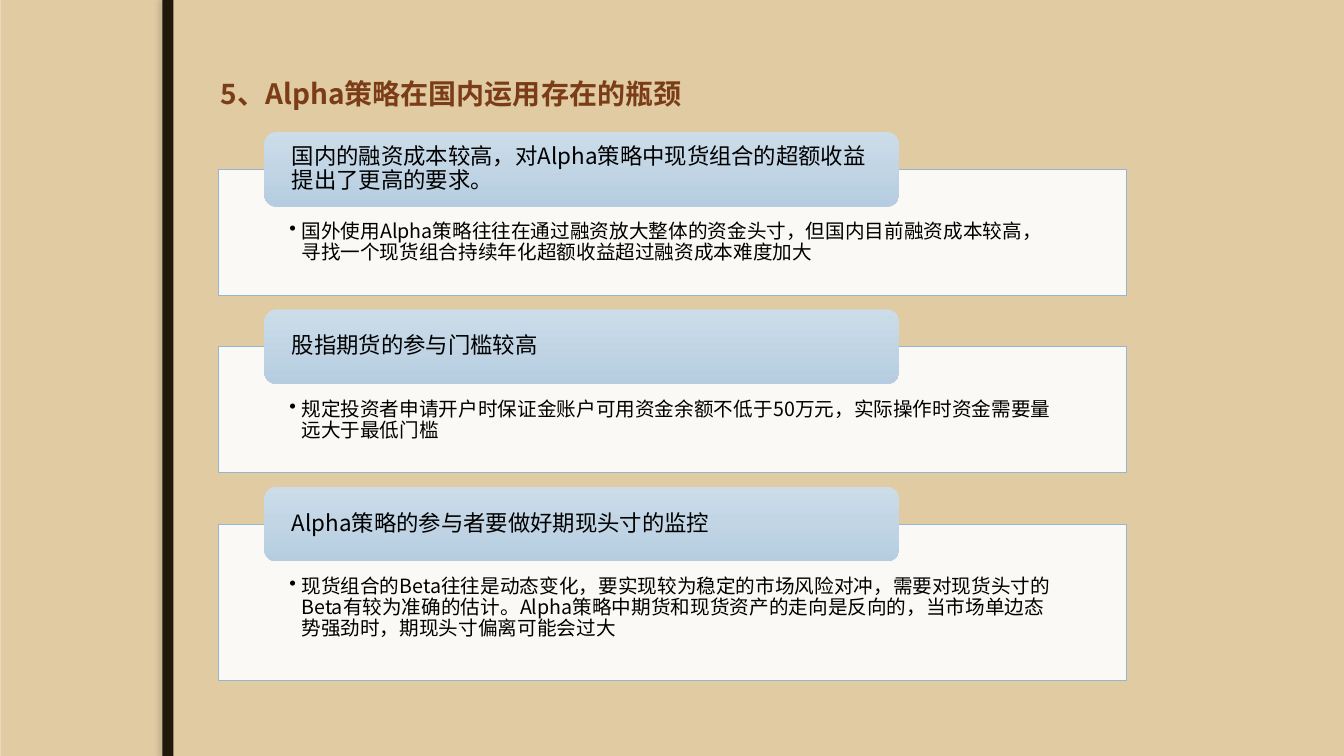
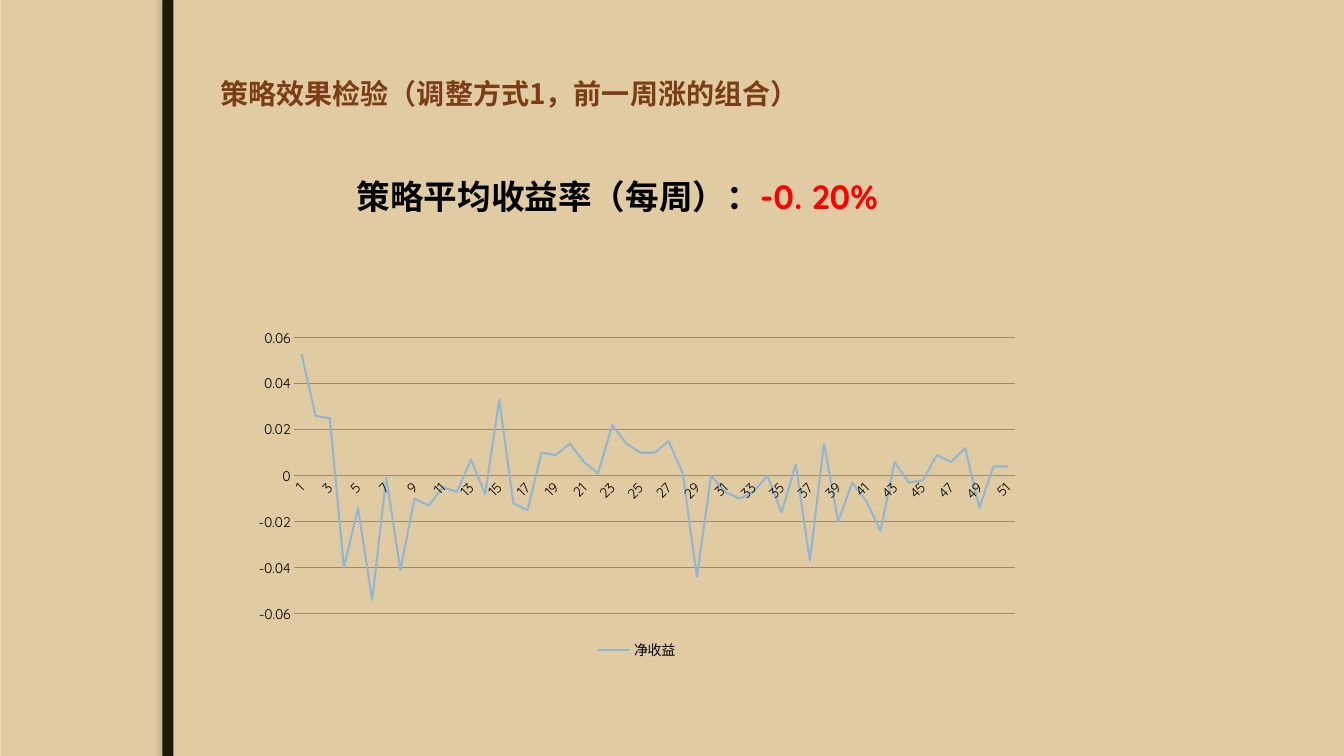
from lxml.etree import SubElement
from pptx import Presentation
from pptx.chart.data import CategoryChartData
from pptx.dml.color import RGBColor
from pptx.enum.chart import XL_CHART_TYPE, XL_LEGEND_POSITION, XL_TICK_MARK
from pptx.enum.shapes import MSO_SHAPE
from pptx.enum.text import MSO_ANCHOR, PP_ALIGN
from pptx.oxml.ns import qn
from pptx.util import Inches, Pt

COLORS = {
    "page": "EBDDC3", "paper": "E0CBA3", "bar": "20190B", "shadow": "766E60",
    "title": "7B3D17", "text": "000000", "accent": "FF0000", "panel": "FFFFFF",
    "line": "94B6D2", "head_top": "CCDCE9", "head_bottom": "B6CDE1", "grid": "A08A64",
}
CJK_FONT = "Noto Sans CJK SC"
LATIN_FONT = "Quicksand"

BOTTLENECKS = [
    ("国内的融资成本较高，对Alpha策略中现货组合的超额收益提出了更高的要求。",
     "国外使用Alpha策略往往在通过融资放大整体的资金头寸，但国内目前融资成本较高，"
     "寻找一个现货组合持续年化超额收益超过融资成本难度加大", 1.25),
    ("股指期货的参与门槛较高",
     "规定投资者申请开户时保证金账户可用资金余额不低于50万元，实际操作时资金需要量远大于最低门槛", 1.25),
    ("Alpha策略的参与者要做好期现头寸的监控",
     "现货组合的Beta往往是动态变化，要实现较为稳定的市场风险对冲，需要对现货头寸的Beta有较为准确的估计。"
     "Alpha策略中期货和现货资产的走向是反向的，当市场单边态势强劲时，期现头寸偏离可能会过大", 1.55),
]
NET_RETURNS = [
    0.053, 0.026, 0.025, -0.04, -0.014, -0.054, -0.001, -0.041, -0.01, -0.013,
    -0.005, -0.007, 0.007, -0.008, 0.033, -0.012, -0.015, 0.01, 0.009, 0.014,
    0.006, 0.001, 0.022, 0.014, 0.01, 0.01, 0.015, 0.001, -0.044, 0,
    -0.007, -0.01, -0.007, 0, -0.016, 0.005, -0.037, 0.014, -0.02, -0.003,
    -0.011, -0.024, 0.006, -0.003, -0.002, 0.009, 0.006, 0.012, -0.014, 0.004, 0.004,
]


def rgb(name):
    return RGBColor.from_string(COLORS[name])


class Deck:
    """Holds the shared style and the current slide."""

    def __init__(self):
        self.presentation = Presentation()
        self.presentation.slide_width = Inches(13.33)
        self.presentation.slide_height = Inches(7.5)
        self.slide = None

    def add_slide(self, title):
        self.slide = self.presentation.slides.add_slide(self.presentation.slide_layouts[6])
        background = self.slide.background.fill
        background.solid()
        background.fore_color.rgb = rgb("page")
        self.shape(MSO_SHAPE.RECTANGLE, 0.01, 0, 13.32, 7.5, "paper")
        bar = self.shape(MSO_SHAPE.RECTANGLE, 1.61, 0, 0.11, 7.5, "bar")
        self.cast_shadow(bar)
        self.text(2.09, 0.3, 10.93, 1.25, [(title, "title")], 20, CJK_FONT)

    def shape(self, kind, left, top, width, height, fill=None):
        shape = self.slide.shapes.add_shape(
            kind, Inches(left), Inches(top), Inches(width), Inches(height))
        shape.shadow.inherit = False
        shape.line.fill.background()
        if fill:
            shape.fill.solid()
            shape.fill.fore_color.rgb = rgb(fill)
        return shape

    def cast_shadow(self, shape):
        effects = shape._element.spPr.find(qn("a:effectLst"))
        shadow = SubElement(effects, qn("a:outerShdw"), blurRad=str(Pt(3)),
                            dist=str(Pt(3)), dir="10800000", rotWithShape="0")
        color = SubElement(shadow, qn("a:srgbClr"), val=COLORS["shadow"])
        SubElement(color, qn("a:alpha"), val="25000")

    def format_run(self, run, size, color, font=CJK_FONT, bold=False):
        run.font.size = Pt(size)
        run.font.bold = bold
        run.font.name = font
        run.font.color.rgb = rgb(color)
        SubElement(run._r.get_or_add_rPr(), qn("a:ea"), typeface=CJK_FONT)

    def text(self, left, top, width, height, parts, size, font):
        """Adds a bold line made of (text, color) parts."""
        box = self.slide.shapes.add_textbox(
            Inches(left), Inches(top), Inches(width), Inches(height))
        frame = box.text_frame
        frame.word_wrap = True
        frame.vertical_anchor = MSO_ANCHOR.MIDDLE
        for content, color in parts:
            run = frame.paragraphs[0].add_run()
            run.text = content
            self.format_run(run, size, color, font, bold=True)

    def fill_text(self, shape, content, size, side, top, bottom, anchor, bullet=False):
        frame = shape.text_frame
        frame.word_wrap = True
        frame.vertical_anchor = anchor
        frame.margin_left = frame.margin_right = Inches(side)
        frame.margin_top, frame.margin_bottom = Inches(top), Inches(bottom)
        frame.text = content
        paragraph = frame.paragraphs[0]
        paragraph.alignment = PP_ALIGN.LEFT
        paragraph.line_spacing = 0.9
        if bullet:
            properties = paragraph._p.get_or_add_pPr()
            properties.set("marL", str(Inches(0.12)))
            properties.set("indent", str(-Inches(0.12)))
            SubElement(properties, qn("a:buChar"), char="•")
        self.format_run(paragraph.runs[0], size, "text")

    def panel(self, top, height, heading, detail):
        # White panel with the bulleted detail
        panel = self.shape(MSO_SHAPE.RECTANGLE, 2.17, top, 9, height, "panel")
        color = panel._element.spPr.find(qn("a:solidFill"))[0]
        SubElement(color, qn("a:alpha"), val="90000")
        panel.line.color.rgb = rgb("line")
        panel.line.width = Pt(0.5)
        self.fill_text(panel, detail, 14, 0.7, 0.52, 0.11, MSO_ANCHOR.TOP, bullet=True)
        # Heading tab over its upper edge
        tab = self.shape(MSO_SHAPE.ROUNDED_RECTANGLE, 2.62, top - 0.37, 6.3, 0.74)
        tab.fill.gradient()
        tab.fill.gradient_angle = 270
        for stop, name, position in zip(tab.fill.gradient_stops, ("head_top", "head_bottom"), (0, 1)):
            stop.color.rgb = rgb(name)
            stop.position = position
        self.fill_text(tab, heading, 16, 0.24, 0, 0, MSO_ANCHOR.MIDDLE)

    def line_chart(self, left, top, width, height, name, values):
        data = CategoryChartData()
        data.categories = [str(week) for week in range(1, len(values) + 1)]
        data.add_series(name, values)
        chart = self.slide.shapes.add_chart(
            XL_CHART_TYPE.LINE, Inches(left), Inches(top), Inches(width), Inches(height), data).chart
        chart.font.size = Pt(10)
        chart.font.name = LATIN_FONT
        chart.font.color.rgb = rgb("text")
        chart.has_title = False
        chart.has_legend = True
        chart.legend.position = XL_LEGEND_POSITION.BOTTOM
        chart.legend.include_in_layout = False
        # Series
        plot = chart.plots[0]
        plot.vary_by_categories = False
        series = plot.series[0]
        series.smooth = False
        series.format.line.color.rgb = rgb("line")
        series.format.line.width = Pt(1.5)
        # Axes
        weeks, returns = chart.category_axis, chart.value_axis
        for axis in (weeks, returns):
            axis.major_tick_mark = axis.minor_tick_mark = XL_TICK_MARK.NONE
        weeks.format.line.color.rgb = rgb("grid")
        weeks.tick_labels.font.size = Pt(10)
        weeks._element.find(qn("c:txPr")).find(qn("a:bodyPr")).set("rot", "-2700000")
        returns.minimum_scale, returns.maximum_scale, returns.major_unit = -0.06, 0.06, 0.02
        returns.format.line.fill.background()
        returns.has_major_gridlines = True
        returns.major_gridlines.format.line.color.rgb = rgb("grid")
        returns.major_gridlines.format.line.width = Pt(0.75)


def main():
    deck = Deck()

    # Bottlenecks of the strategy
    deck.add_slide("5、Alpha策略在国内运用存在的瓶颈")
    top = 1.68
    for heading, detail, height in BOTTLENECKS:
        deck.panel(top, height, heading, detail)
        top += height + 0.51

    # Weekly result of the strategy
    deck.add_slide("策略效果检验（调整方式1，前一周涨的组合）")
    deck.line_chart(2.41, 3.2, 7.81, 3.39, "净收益", NET_RETURNS)
    deck.text(3.44, 1.7, 6.46, 0.5,
              [("策略平均收益率（每周）：", "text"), ("-0. 20%", "accent")], 24, LATIN_FONT)

    deck.presentation.save("out.pptx")


if __name__ == "__main__":
    main()
